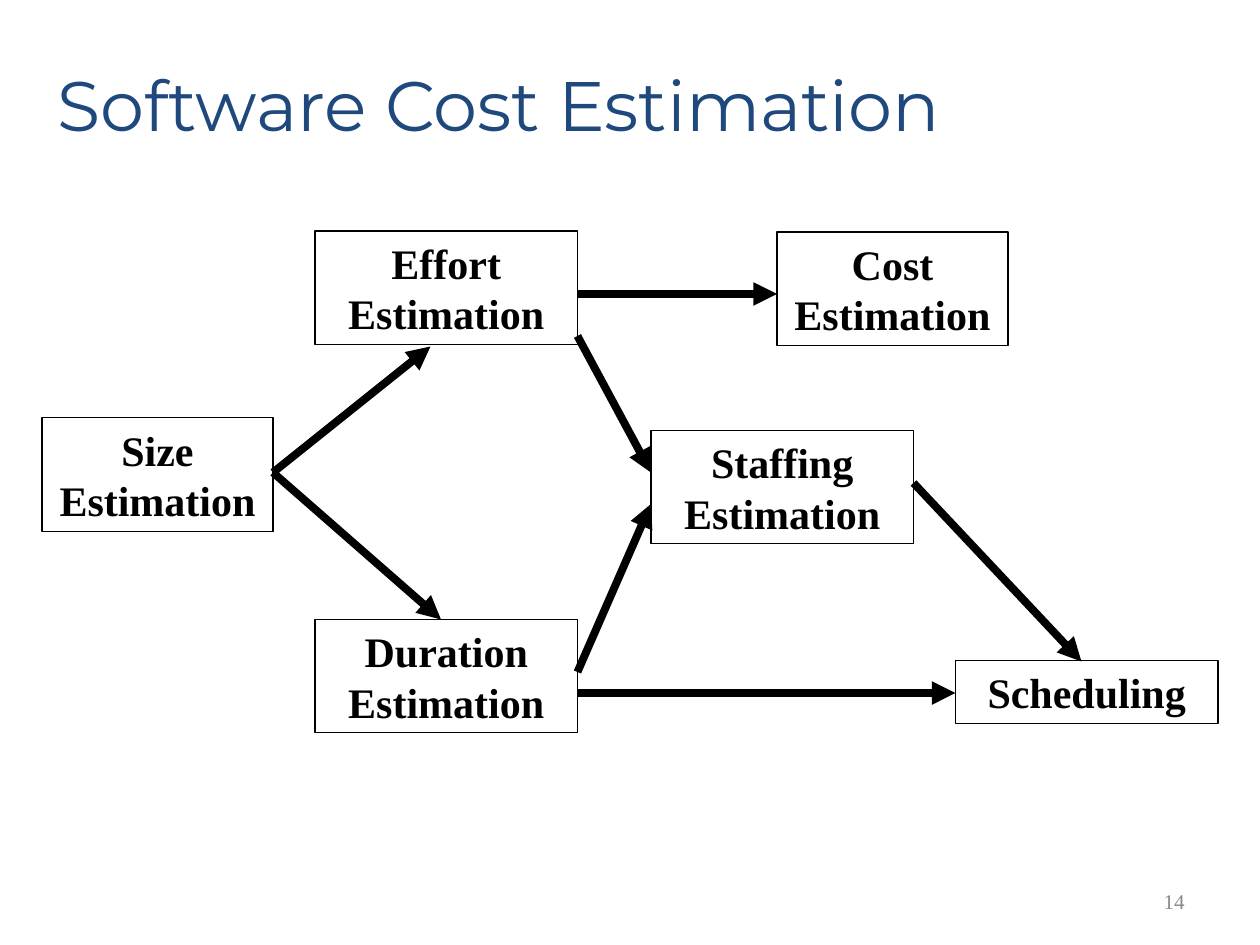
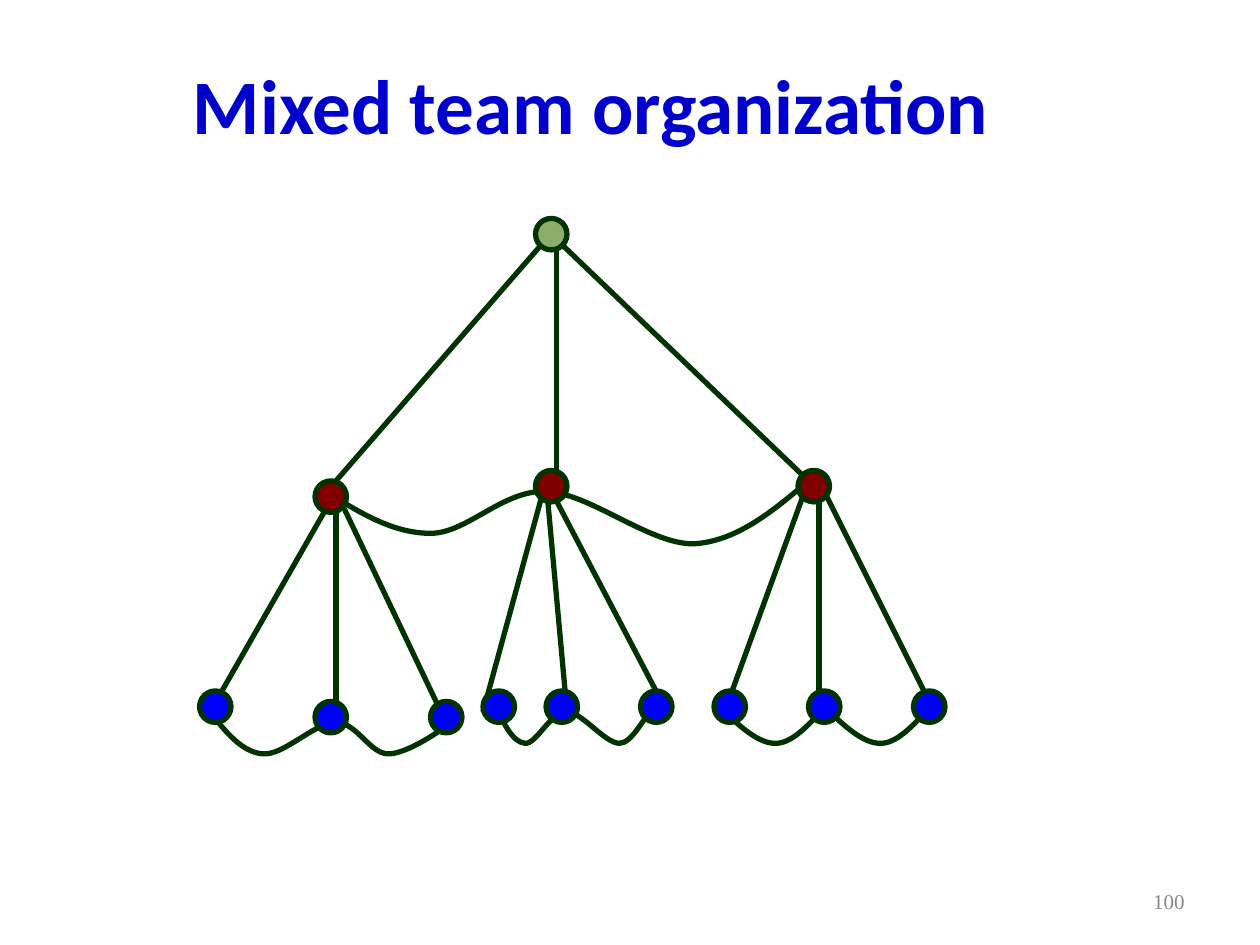
from lxml import etree
from pptx import Presentation
from pptx import util as u
from pptx.dml.color import RGBColor
from pptx.enum import shapes, text
from pptx.oxml.ns import qn

PX = 7620  # 120 px to the inch
HUES = {"ink": "000000", "navy": "1F497D", "royal": "0000CC", "page": "898989",
        "edge": "003300", "root": "8BAE6C", "lead": "800000", "crew": "0000FF"}
SERIF = "Times New Roman"
LEFT, MID, RIGHT = text.PP_ALIGN.LEFT, text.PP_ALIGN.CENTER, text.PP_ALIGN.RIGHT


def hue(name):
    return RGBColor.from_string(HUES[name])


def emu(*vals):
    return [v * PX for v in vals]


def stroke(item, color, width):
    item.line.color.rgb = hue(color)
    item.line.width = u.Pt(width)


def write(item, words, font, size, color, align, bold=False, inset=12):
    """Put one paragraph into the shape and return it."""
    frame = item.text_frame
    frame.word_wrap = True
    frame.margin_left = frame.margin_right = inset * PX
    frame.vertical_anchor = text.MSO_ANCHOR.MIDDLE
    para = frame.paragraphs[0]
    para.text, para.alignment = words, align
    para.font.name, para.font.size, para.font.bold = font, u.Pt(size), bold
    para.font.color.rgb = hue(color)
    return para


def frame(slide, title, font, size, color, align, bold, page):
    """Add the title and the page number."""
    box = slide.shapes.add_textbox(*emu(53, 24, 1020, 150))
    write(box, title, font, size, color, align, bold, inset=2)
    foot = slide.shapes.add_textbox(*emu(860, 834, 280, 48))
    write(foot, page, SERIF, 12, "page", RIGHT)


def link(slide, start, end, color, width, arrow=False):
    line = slide.shapes.add_connector(shapes.MSO_CONNECTOR.STRAIGHT,
                                      *emu(*start, *end))
    stroke(line, color, width)
    props = line._element.spPr
    if arrow:
        etree.SubElement(props.find(qn("a:ln")), qn("a:tailEnd"), type="triangle")
    etree.SubElement(props, qn("a:effectLst"))


def flow(slide, left, top):
    """Draw the estimation steps and the arrows between them."""
    steps = {"Size Estimation": (0, 178, 220, 108),
             "Effort Estimation": (260, 0, 250, 108),
             "Cost Estimation": (700, 1, 220, 108),
             "Duration Estimation": (260, 370, 250, 108),
             "Staffing Estimation": (580, 190, 250, 108),
             "Scheduling": (870, 409, 250, 60)}
    # each arrow leaves the right edge of its step at a given height
    arrows = [("Size Estimation", 230, (370, 110)),
              ("Size Estimation", 230, (380, 370)),
              ("Effort Estimation", 60, (700, 60)),
              ("Effort Estimation", 100, (580, 230)),
              ("Duration Estimation", 420, (580, 260)),
              ("Duration Estimation", 440, (870, 440)),
              ("Staffing Estimation", 240, (990, 410))]
    for name, (x, y, wide, high) in steps.items():
        box = slide.shapes.add_shape(shapes.MSO_SHAPE.RECTANGLE,
                                     *emu(left + x, top + y, wide, high))
        box.shadow.inherit = False
        box.fill.background()
        stroke(box, "ink", 0.75)
        para = write(box, name, SERIF, 24, "ink", MID, True)
        para.line_spacing = u.Pt(28.8)
        box.text_frame.vertical_anchor = text.MSO_ANCHOR.TOP
    for name, y, (endx, endy) in arrows:
        x, _, wide, _ = steps[name]
        link(slide, (left + x + wide, top + y), (left + endx, top + endy),
             "ink", 4.5, arrow=True)


def bend(slide, left, top, start, *points):
    """Draw an open line of cubic curves; each takes two controls and an end."""
    pen = slide.shapes.build_freeform(*emu(left + start[0], top + start[1]))
    pen.add_line_segments([emu(left + x, top + y) for x, y in points], close=False)
    line = pen.convert_to_shape()
    line.shadow.inherit = False
    line.fill.background()
    stroke(line, "edge", 3)
    trail = next(line._element.iter(qn("a:path")))
    legs = trail.findall(qn("a:lnTo"))
    for i in range(0, len(legs), 3):
        curve = etree.SubElement(trail, qn("a:cubicBezTo"))
        for leg in legs[i:i + 3]:
            curve.append(leg[0])
            trail.remove(leg)


def team(slide, left, top):
    """Draw the tree of root, leads and crew with the curves between peers."""
    fans = [((330, 20), [(130, 250)]),
            ((340, 10), [(340, 260)]),
            ((130, 260), [(10, 470), (130, 470), (230, 470)]),
            ((330, 250), [(270, 470), (350, 470), (440, 460)]),
            ((340, 20), [(580, 250)]),
            ((580, 250), [(500, 470)]),
            ((590, 260), [(590, 470)]),
            ((590, 250), [(700, 470)])]
    for start, ends in fans:
        for x, y in ends:
            link(slide, (left + start[0], top + start[1]), (left + x, top + y),
                 "edge", 3)

    bend(slide, left, top, (10, 470), (25, 489), (40, 508), (60, 510),
         (80, 512), (110, 480), (130, 480), (150, 480), (162, 510), (180, 510),
         (198, 510), (231, 487), (240, 480), (248, 474), (238, 472), (230, 470))
    bend(slide, left, top, (280, 460), (289, 480), (298, 499), (310, 500),
         (321, 501), (334, 470), (350, 470), (364, 470), (386, 500), (400, 500),
         (412, 500), (423, 475), (430, 470))
    for shift in (0, 100):
        bend(slide, left + shift, top, (500, 470), (517, 486), (534, 501),
             (550, 500), (566, 499), (583, 480), (600, 460))
    bend(slide, left, top, (120, 260), (152, 280), (184, 300), (220, 300),
         (255, 300), (288, 259), (330, 260), (372, 262), (428, 310), (470, 310),
         (511, 308), (546, 279), (580, 250))

    nodes = {"lead": [(110, 250), (320, 240), (570, 240)],
             "crew": [(110, 460), (220, 460)]
             + [(x, 450) for x in (0, 270, 330, 420, 490, 580, 680)],
             "root": [(320, 0)]}
    for role, spots in nodes.items():
        for x, y in spots:
            dot = slide.shapes.add_shape(shapes.MSO_SHAPE.OVAL,
                                         *emu(left + x, top + y, 30, 30))
            dot.shadow.inherit = False
            dot.fill.solid()
            dot.fill.fore_color.rgb = hue(role)
            stroke(dot, "edge", 3)


def main():
    deck = Presentation()
    deck.slide_width, deck.slide_height = emu(1200, 900)
    blank = deck.slide_layouts[6]

    slide = deck.slides.add_slide(blank)
    frame(slide, "Software Cost Estimation", "Montserrat", 40, "navy", LEFT, False, "14")
    flow(slide, 40, 220)

    slide = deck.slides.add_slide(blank)
    frame(slide, "Mixed team organization", "Calibri", 44, "royal", MID, True, "100")
    team(slide, 190, 208)

    deck.save("out.pptx")


if __name__ == "__main__":
    main()
